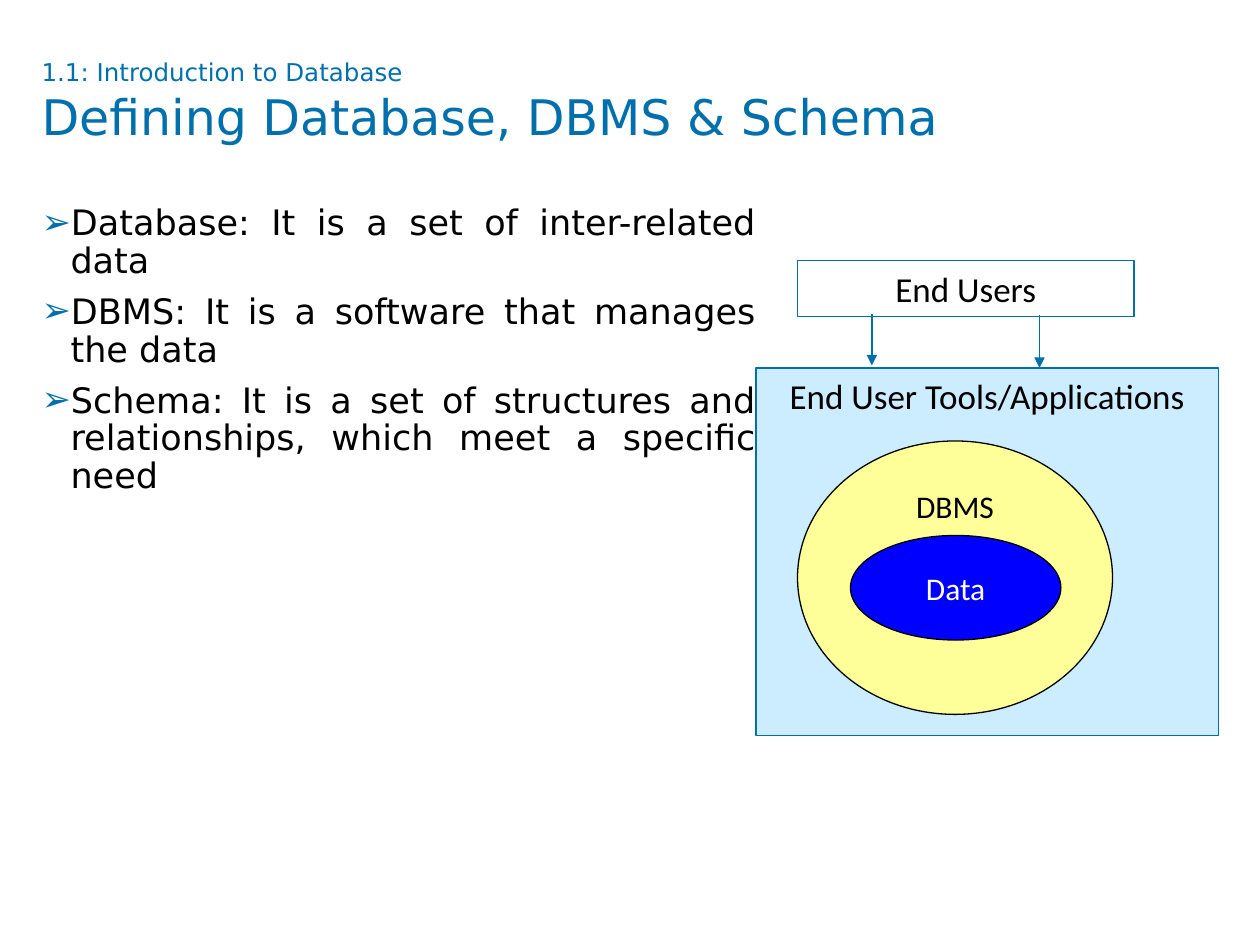
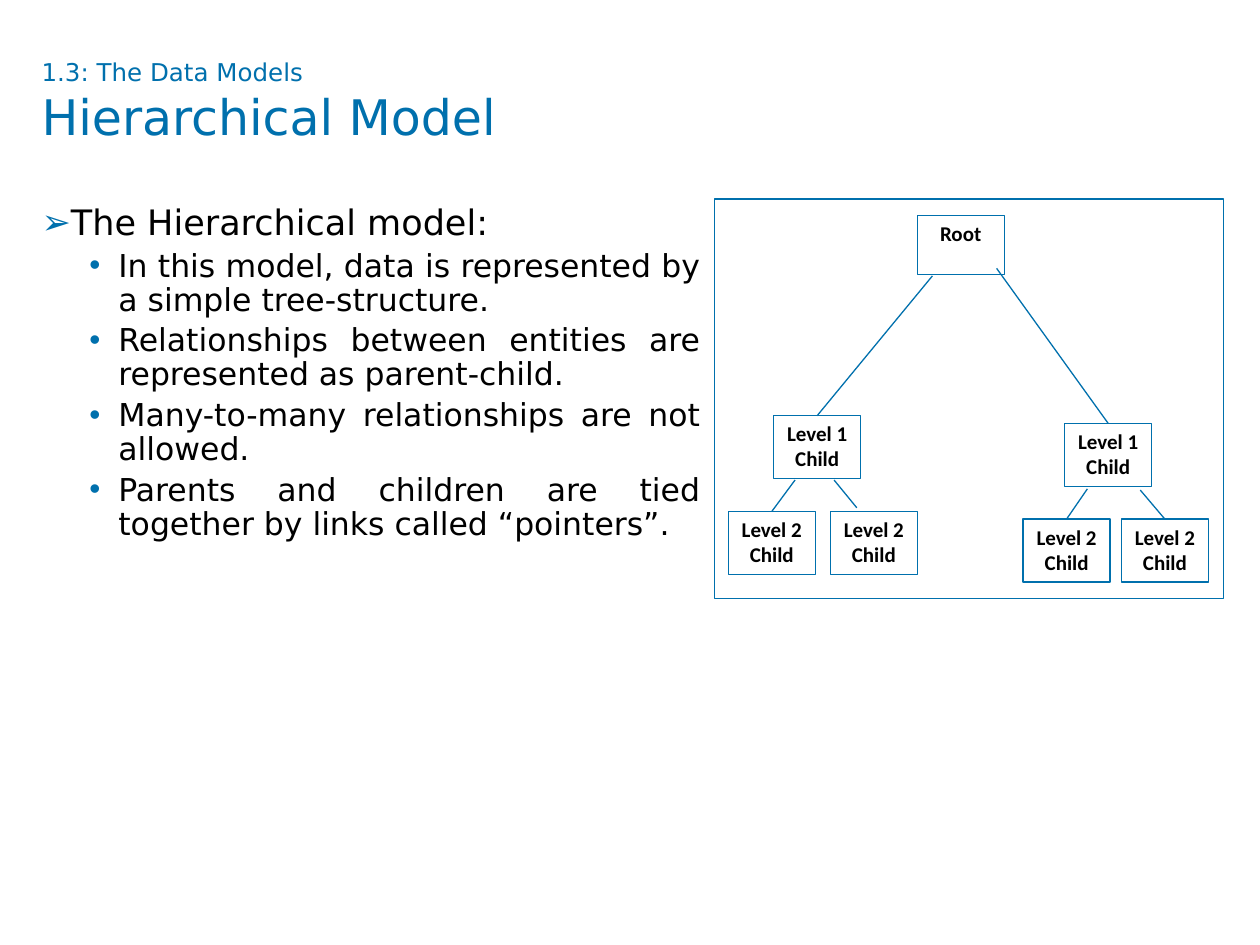
import copy
import pptx
import pptx.util
import pptx.dml.color
import pptx.enum.shapes
import pptx.enum.text
import pptx.oxml.ns
import lxml.etree

Inches = pptx.util.Inches
Pt = pptx.util.Pt
RGB = pptx.dml.color.RGBColor.from_string
qn = pptx.oxml.ns.qn
KIND = pptx.enum.shapes.MSO_SHAPE
ALIGN = pptx.enum.text.PP_ALIGN
ANCHOR = pptx.enum.text.MSO_ANCHOR
FIT = pptx.enum.text.MSO_AUTO_SIZE

theme = {
    "blue": "0070AD", "black": "000000", "white": "FFFFFF",
    "pale": "CCECFF", "yellow": "FFFF99", "deep": "0000FF",
    "text": "DejaVu Sans", "label": "Calibri",
    "topic": 14, "title": 28, "label_big": 20, "label_mid": 18, "label_small": 12,
    "line": 0.75,
    "levels": [
        {"size": 20, "left": 0.23, "before": 7.5, "mark": "➢"},
        {"size": 18, "left": 0.61, "before": 3.8, "mark": "•"},
    ],
}


def box(shapes, kind, spot, words="", fill=None, line="blue", ink="black",
        size="label_big", bold=False, frame=None):
    shape = shapes.add_shape(kind, *[Inches(n) for n in spot])
    shape.shadow.inherit = False
    if fill:
        shape.fill.solid()
        shape.fill.fore_color.rgb = RGB(theme[fill])
    else:
        shape.fill.background()
    shape.line.color.rgb = RGB(theme[line])
    shape.line.width = Pt(theme["line"])
    if words:
        text = shape.text_frame
        text.text = words
        for name, value in ({"vertical_anchor": ANCHOR.TOP} | (frame or {})).items():
            setattr(text, name, value)
        for para in text.paragraphs:
            para.alignment = ALIGN.CENTER
            look = {"name": theme["label"], "size": Pt(theme[size]), "bold": bold}
            for name, value in look.items():
                setattr(para.runs[0].font, name, value)
            para.runs[0].font.color.rgb = RGB(theme[ink])
    return shape


def link(shapes, start, end, arrow=False, goal=None):
    line = shapes.add_connector(pptx.enum.shapes.MSO_CONNECTOR.STRAIGHT,
                                *[Inches(n) for n in start + end])
    line.line.color.rgb = RGB(theme["blue"])
    line.line.width = Pt(theme["line"])
    if arrow:
        lxml.etree.SubElement(line.line._get_or_add_ln(), qn("a:tailEnd"), type="triangle")
    lxml.etree.SubElement(line._element.spPr, qn("a:effectLst"))
    if goal:
        line.end_connect(goal, 0)


deck = pptx.Presentation()
deck.slide_width, deck.slide_height = Inches(10), Inches(7.5)

pages = [
    ("1.1: Introduction to Database", "Defining Database, DBMS & Schema", 5.67, [
        (0, "Database: It is a set of inter-related data"),
        (0, "DBMS: It is a software that manages the data"),
        (0, "Schema: It is a set of structures and relationships, which meet a specific need"),
    ]),
    ("1.3: The Data Models", "Hierarchical Model", 5.23, [
        (0, "The Hierarchical model:"),
        (1, "In this model, data is represented by a simple tree-structure."),
        (1, "Relationships between entities are represented as parent-child."),
        (1, "Many-to-many relationships are not allowed."),
        (1, "Parents and children are tied together by links called “pointers”."),
    ]),
]

slides = []
for topic, title, width, points in pages:
    slide = deck.slides.add_slide(deck.slide_layouts[1])
    slides.append(slide)
    head, body = slide.shapes.title, slide.placeholders[1]
    for holder, spot in ((head, (0.33, 0.45, 9.33, 0.94)), (body, (0.33, 1.63, width, 5.08))):
        for name, value in zip(("left", "top", "width", "height"), spot):
            setattr(holder, name, Inches(value))
        plain = {"margin_left": 0, "margin_top": 0, "margin_right": 0, "margin_bottom": 0,
                 "vertical_anchor": ANCHOR.TOP, "word_wrap": True, "auto_size": FIT.NONE}
        for name, value in plain.items():
            setattr(holder.text_frame, name, value)

    para = head.text_frame.paragraphs[0]
    para.alignment = ALIGN.LEFT
    for words, size in ((topic, "topic"), (title, "title")):
        run = para.add_run()
        run.text = words
        run.font.name, run.font.size = theme["text"], Pt(theme[size])
        run.font.color.rgb = RGB(theme["blue"])
        if size == "topic":
            para.add_line_break()
            para._p[-1].append(copy.deepcopy(run._r.rPr))

    for rank, (level, words) in enumerate(points):
        style = theme["levels"][level]
        para = body.text_frame.add_paragraph() if rank else body.text_frame.paragraphs[0]
        look = {"level": level, "alignment": ALIGN.JUSTIFY, "line_spacing": 0.9,
                "space_before": Pt(style["before"])}
        for name, value in look.items():
            setattr(para, name, value)
        run = para.add_run()
        run.text = words
        run.font.name, run.font.size = theme["text"], Pt(style["size"])
        run.font.color.rgb = RGB(theme["black"])
        props = para._p.get_or_add_pPr()
        props.set("marL", str(Inches(style["left"])))
        props.set("indent", str(Inches(-0.23)))
        tint = lxml.etree.SubElement(props, qn("a:buClr"))
        lxml.etree.SubElement(tint, qn("a:srgbClr"), val=theme["blue"])
        lxml.etree.SubElement(props, qn("a:buChar"), char=style["mark"])

layers = slides[0].shapes
loose = {"word_wrap": False}
box(layers, KIND.RECTANGLE, (6, 2.92, 3.67, 2.92), "End User Tools/Applications",
    "pale", frame=loose)
box(layers, KIND.OVAL, (6.33, 3.5, 2.5, 2.17), "DBMS", "yellow", "black",
    size="label_mid", frame=loose)
box(layers, KIND.OVAL, (6.75, 4.25, 1.67, 0.83), "Data", "deep", "black", "white",
    "label_mid", frame=loose | {"vertical_anchor": ANCHOR.MIDDLE})
for x, top, low in ((6.92, 2.49, 2.9), (8.25, 2.5, 2.92)):
    link(layers, (x, top), (x, low), arrow=True)
box(layers, KIND.RECTANGLE, (6.33, 2.07, 2.67, 0.44), "End Users",
    frame={"word_wrap": True, "auto_size": FIT.SHAPE_TO_FIT_TEXT})

tree = slides[1].shapes.add_group_shape().shapes
box(tree, KIND.RECTANGLE, (5.67, 1.58, 4.04, 3.17))
tight = {"margin_left": Inches(0.09), "margin_right": Inches(0.09),
         "margin_top": Inches(0.04), "margin_bottom": Inches(0.04), "word_wrap": True}
node = {"fill": "white", "size": "label_small", "bold": True, "frame": tight}
box(tree, KIND.RECTANGLE, (7.28, 1.71, 0.69, 0.47), "Root", **node)

branches = [
    ((7.4, 2.19), (6.14, 3.3), [
        (5.78, (6.31, 3.81), (6.12, 4.03), True),
        (6.59, (6.62, 3.81), (6.8, 4.03), False),
    ]),
    ((7.91, 2.13), (8.45, 3.36), [
        (8.12, (8.63, 3.88), (8.45, 4.1), True),
        (8.9, (9.05, 3.89), (9.24, 4.11), True),
    ]),
]
for start, (left, top), leaves in branches:
    child = box(tree, KIND.RECTANGLE, (left, top, 0.69, 0.5), "Level 1\nChild", **node)
    link(tree, start, (left + 0.34, top), goal=child)
    for x, tip, end, joined in leaves:
        leaf = box(tree, KIND.RECTANGLE, (x, top + 0.76, 0.69, 0.5), "Level 2\nChild", **node)
        link(tree, tip, end, goal=leaf if joined else None)

deck.save("out.pptx")
